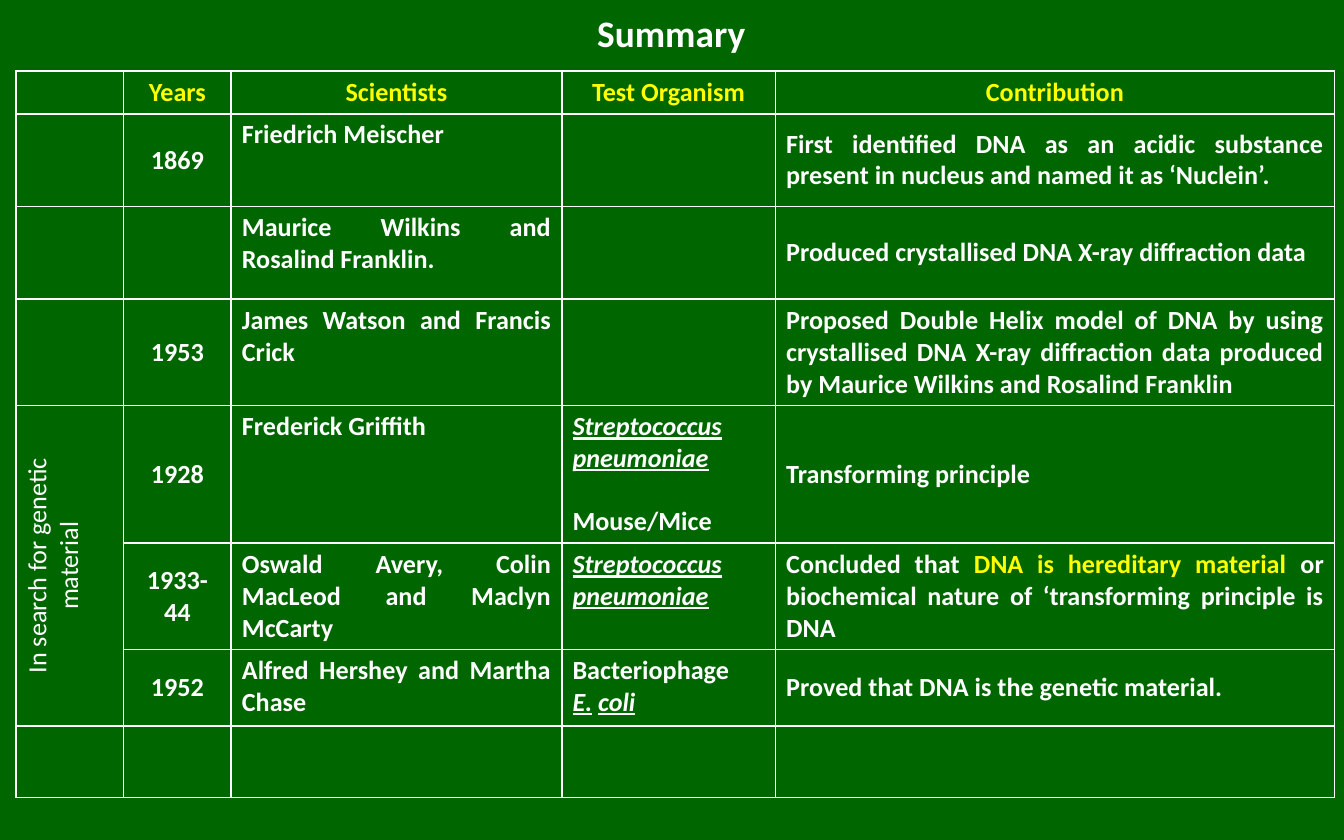
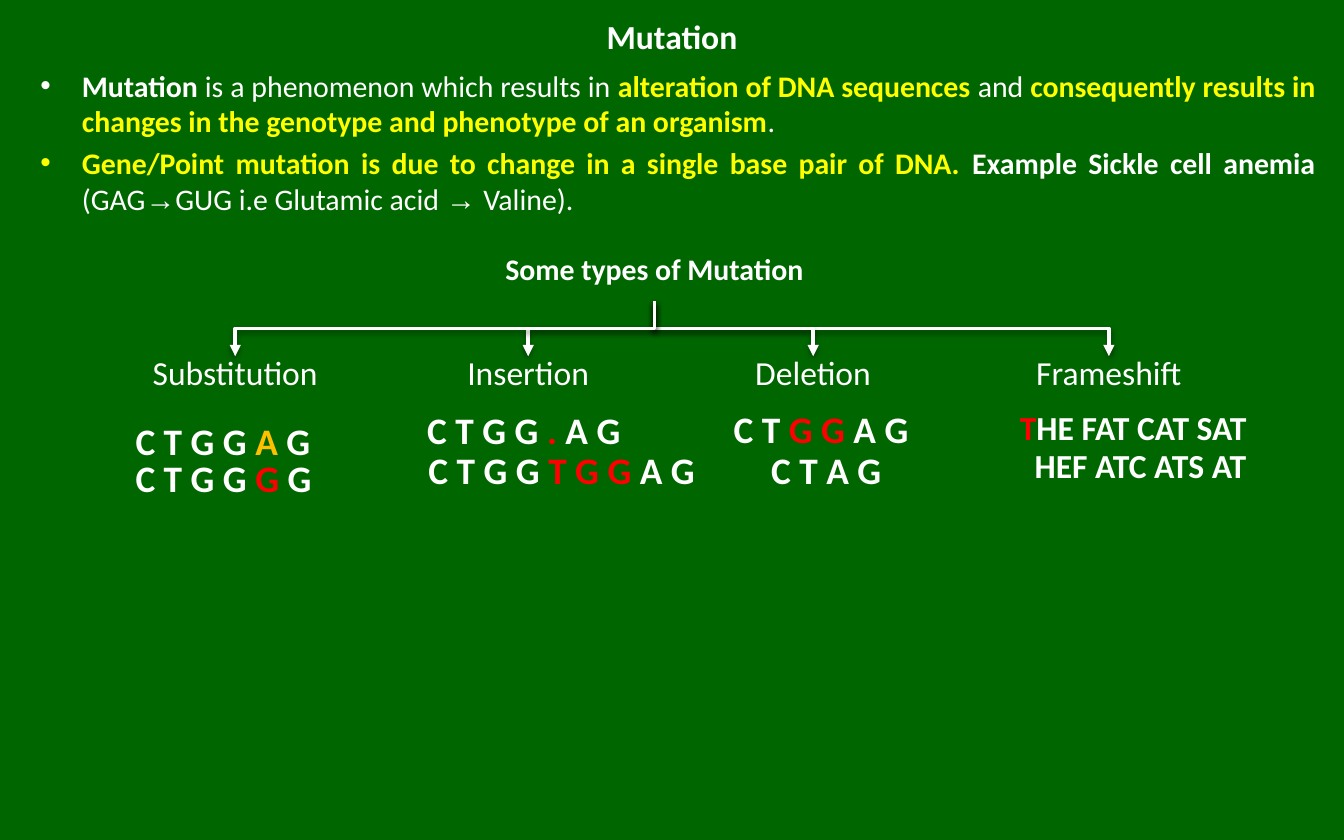
from lxml import etree
from pptx import Presentation
from pptx.dml.color import RGBColor
from pptx.enum.shapes import MSO_CONNECTOR
from pptx.enum.text import MSO_ANCHOR, MSO_AUTO_SIZE, PP_ALIGN
from pptx.oxml import parse_xml
from pptx.oxml.ns import nsdecls, qn
from pptx.util import Inches, Pt

GREEN = RGBColor(0x00, 0x66, 0x00)
WHITE = RGBColor(0xFF, 0xFF, 0xFF)
YELLOW = RGBColor(0xFF, 0xFF, 0x00)
RED = RGBColor(0xFF, 0x00, 0x00)
ORANGE = RGBColor(0xFF, 0xC0, 0x00)
LEFT, CENTER, JUSTIFY = PP_ALIGN.LEFT, PP_ALIGN.CENTER, PP_ALIGN.JUSTIFY
TOP, MIDDLE = MSO_ANCHOR.TOP, MSO_ANCHOR.MIDDLE
NO_AUTOFIT, GROW = MSO_AUTO_SIZE.NONE, MSO_AUTO_SIZE.SHAPE_TO_FIT_TEXT
ELBOW = MSO_CONNECTOR.ELBOW
FONT, ARROW_FONT = "Calibri", "Times New Roman"
TITLE_AND_CONTENT, TITLE_ONLY = 1, 5
BOTTOM_SIDE, TOP_SIDE = 2, 0

SPECIES = {"italic": True, "underline": True}
KEY = {"color": YELLOW, "bold": True}
BOLD = {"bold": True}
ARROW = {"font": ARROW_FONT}
PNEUMONIAE = [("Streptococcus", SPECIES), (" ", {"italic": True}), ("pneumoniae", SPECIES)]
COLI = [("E.", SPECIES), (" ", {"italic": True}), ("coli", SPECIES)]

COLUMN_WIDTHS = [0.8, 0.8, 2.46, 1.59, 4.16]
ROW_HEIGHTS = [0.21, 0.69, 0.69, 0.69, 0.69, 0.53, 0.53, 0.53]
HEADER = ["", "Years", "Scientists", "Test Organism", "Contribution"]
SEARCH_ROWS = (4, 6)
DISCOVERIES = [
    ["", "1869", "Friedrich Meischer", "",
     "First identified DNA as an acidic substance present in nucleus and named it as ‘Nuclein’."],
    ["", "", "Maurice Wilkins and Rosalind Franklin.", "",
     "Produced crystallised DNA X-ray diffraction data"],
    ["", "1953", "James Watson and Francis Crick", "",
     "Proposed Double Helix model of DNA by using crystallised DNA X-ray diffraction data "
     "produced by Maurice Wilkins and Rosalind Franklin"],
    ["In search for genetic material", "1928", "Frederick Griffith",
     [PNEUMONIAE, ["Mouse/Mice"]], "Transforming principle"],
    ["", "1933-44", "Oswald Avery, Colin MacLeod and Maclyn McCarty", [PNEUMONIAE],
     [["Concluded that ", ("DNA is hereditary material ", KEY),
       "or biochemical nature of ‘transforming principle is DNA"]]],
    ["", "1952", "Alfred Hershey and Martha Chase", [["Bacteriophage"], COLI],
     "Proved that DNA is the genetic material."],
    ["", "", "", "", ""],
]

MUTATION_POINTS = [
    [("Mutation", BOLD), " is a phenomenon which results in ",
     ("alteration of DNA sequences ", KEY), "and ",
     ("consequently results in changes in the genotype and phenotype of an organism", KEY), "."],
    [("Gene/Point mutation is due to change in a single base pair of DNA.", KEY),
     (" Example Sickle cell anemia ", BOLD), "(GAG", ("→", ARROW),
     "GUG i.e Glutamic acid ", ("→ ", ARROW), "Valine)."],
]

RED_RUN = {"color": RED}
MUTATION_TYPES = [
    ("Frameshift", 7.56, 18, [
        (7.49, 2.98, 1.9, [("T", RED_RUN), "HE FAT CAT SAT"]),
        (7.6, 3.26, 1.79, ["HEF ATC ATS AT"])]),
    ("Deletion", 5.36, 20, [
        (5.36, 2.97, 1.51, ["C T ", ("G G ", RED_RUN), "A G"]),
        (5.64, 3.28, 1.03, ["C T A G"])]),
    ("Insertion", 3.24, 20, [
        (3.08, 2.98, 1.65, ["C T G G ", (".", RED_RUN), " A G"]),
        (3.09, 3.28, 2.2, ["C T G G ", ("T G G ", RED_RUN), "A G"])]),
    ("Substitution", 1.06, 20, [
        (0.91, 3.06, 1.51, ["C T G G ", ("A", {"color": ORANGE}), " G"]),
        (0.91, 3.34, 1.52, ["C T G G", (" G ", RED_RUN), "G"])]),
]


def write(paragraph, runs, align=LEFT, **base):
    paragraph.alignment = align
    for item in runs:
        text, changes = (item, {}) if isinstance(item, str) else item
        style = {"size": 14, "font": FONT, "color": WHITE, "bold": False,
                 "italic": False, "underline": False, **base, **changes}
        run = paragraph.add_run()
        run.text = text
        run.font.name = style["font"]
        run.font.size = Pt(style["size"])
        run.font.color.rgb = style["color"]
        run.font.bold = style["bold"]
        run.font.italic = style["italic"]
        run.font.underline = style["underline"]


def place(shape, left, top, width, height):
    shape.left, shape.top = Inches(left), Inches(top)
    shape.width, shape.height = Inches(width), Inches(height)


def add_titled_slide(presentation, layout, title, size, bounds):
    slide = presentation.slides.add_slide(presentation.slide_layouts[layout])
    shape = slide.shapes.title
    place(shape, *bounds)
    shape.text_frame.vertical_anchor = MIDDLE
    shape.text_frame.auto_size = NO_AUTOFIT
    write(shape.text_frame.paragraphs[0], [title], CENTER, size=size, bold=True)
    return slide


def add_label(slide, text, left, top, width, height, **style):
    label = slide.shapes.add_textbox(*map(Inches, (left, top, width, height)))
    frame = label.text_frame
    frame.word_wrap = True
    frame.vertical_anchor = MIDDLE
    frame.margin_left = frame.margin_right = Inches(0.02)
    frame.margin_top = frame.margin_bottom = Inches(0.02)
    frame.paragraphs[0].line_spacing = 0.9
    write(frame.paragraphs[0], [text], CENTER, **style)
    return label


def add_sequence(slide, left, top, width, size, runs):
    height = 0.44 if size == 20 else 0.4
    sequence = slide.shapes.add_textbox(*map(Inches, (left, top, width, height)))
    sequence.text_frame.word_wrap = False
    sequence.text_frame.auto_size = GROW
    write(sequence.text_frame.paragraphs[0], runs, size=size, bold=True)


def add_branch(slide, heading, label):
    start_x, start_y = heading.left + heading.width // 2, heading.top + heading.height
    end_x, end_y = label.left + label.width // 2, label.top
    branch = slide.shapes.add_connector(ELBOW, start_x, start_y, end_x, end_y)
    branch.begin_connect(heading, BOTTOM_SIDE)
    branch.end_connect(label, TOP_SIDE)
    drop, reach = end_y - start_y, abs(end_x - start_x)
    branch.left = (start_x + end_x - drop) // 2
    branch.top = (start_y + end_y - reach) // 2
    branch.width, branch.height = drop, reach
    rightward = end_x > start_x
    properties = branch._element.spPr
    transform = properties.find(qn("a:xfrm"))
    transform.set("rot", str((270 if rightward else 90) * 60000))
    transform.set("flipH", "1" if rightward else "0")
    branch.line.color.rgb = WHITE
    branch.line.width = Pt(2)
    etree.SubElement(properties.find(qn("a:ln")), qn("a:tailEnd"), type="triangle")
    properties.append(parse_xml(
        f'<a:effectLst {nsdecls("a")}><a:outerShdw blurRad="40000" dist="20000" dir="5400000" '
        'rotWithShape="0"><a:srgbClr val="000000"><a:alpha val="38000"/></a:srgbClr>'
        '</a:outerShdw></a:effectLst>'))


def format_cell(cell):
    cell.margin_left = cell.margin_right = Inches(0.08)
    cell.margin_top = cell.margin_bottom = Inches(0.04)
    cell.fill.background()
    properties = cell._tc.get_or_add_tcPr()
    for position, side in enumerate(("lnL", "lnR", "lnT", "lnB")):
        properties.insert(position, parse_xml(
            f'<a:{side} {nsdecls("a")} w="{Pt(1)}"><a:solidFill>'
            f'<a:srgbClr val="{WHITE}"/></a:solidFill></a:{side}>'))


def fill_cell(cell, content, row, column):
    frame = cell.text_frame
    if not content:
        frame.paragraphs[0]._p.get_or_add_endParaRPr().set("sz", "1400")
        return
    is_header = row == 0
    centred = is_header or column < 2
    in_middle = centred or column == 4
    cell.vertical_anchor = MIDDLE if in_middle else TOP
    lines = [[content]] if isinstance(content, str) else content
    for index, runs in enumerate(lines):
        paragraph = frame.paragraphs[0] if index == 0 else frame.add_paragraph()
        if runs == ["Mouse/Mice"]:
            paragraph.space_before = Pt(17)
        write(paragraph, runs, CENTER if centred else JUSTIFY,
              bold=column > 0, color=YELLOW if is_header else WHITE)


def build_summary(presentation):
    slide = add_titled_slide(presentation, TITLE_ONLY, "Summary", 20, (0.83, 0.05, 8.33, 0.39))
    rows = [HEADER] + DISCOVERIES
    table = slide.shapes.add_table(
        len(rows), len(HEADER), Inches(0.12), Inches(0.53),
        Inches(sum(COLUMN_WIDTHS)), Inches(sum(ROW_HEIGHTS))).table
    table.first_row = table.horz_banding = False
    for column, width in zip(table.columns, COLUMN_WIDTHS):
        column.width = Inches(width)
    for row, height in zip(table.rows, ROW_HEIGHTS):
        row.height = Inches(height)
    for row, contents in enumerate(rows):
        for column, content in enumerate(contents):
            cell = table.cell(row, column)
            format_cell(cell)
            fill_cell(cell, content, row, column)
    first, last = SEARCH_ROWS
    search = table.cell(first, 0)
    search.merge(table.cell(last, 0))
    search._tc.get_or_add_tcPr().set("vert", "vert270")


def build_mutation(presentation):
    slide = add_titled_slide(
        presentation, TITLE_AND_CONTENT, "Mutation", 18, (0.12, 0.09, 9.76, 0.36))
    body = slide.placeholders[1]
    place(body, 0.2, 0.45, 9.69, 1.38)
    frame = body.text_frame
    frame.auto_size = NO_AUTOFIT
    for index, runs in enumerate(MUTATION_POINTS):
        paragraph = frame.paragraphs[0] if index == 0 else frame.add_paragraph()
        properties = paragraph._p.get_or_add_pPr()
        properties.set("marL", str(Inches(0.31)))
        properties.set("indent", str(-Inches(0.31)))
        etree.SubElement(properties, qn("a:buChar"), char="•")
        paragraph.space_before = Pt(3.2 if index else 0)
        write(paragraph, runs, JUSTIFY, size=16)

    heading = add_label(slide, "Some types of Mutation", 3.59, 1.79, 2.56, 0.45,
                        size=16, bold=True)
    for name, left, size, sequences in MUTATION_TYPES:
        label = add_label(slide, name, left, 2.65, 1.38, 0.28, size=18)
        add_branch(slide, heading, label)
        for sequence_left, top, width, runs in sequences:
            add_sequence(slide, sequence_left, top, width, size, runs)


def main():
    presentation = Presentation()
    presentation.slide_width, presentation.slide_height = Inches(10), Inches(6.25)
    background = presentation.slide_master.background.fill
    background.solid()
    background.fore_color.rgb = GREEN
    build_summary(presentation)
    build_mutation(presentation)
    presentation.save("out.pptx")


if __name__ == "__main__":
    main()
